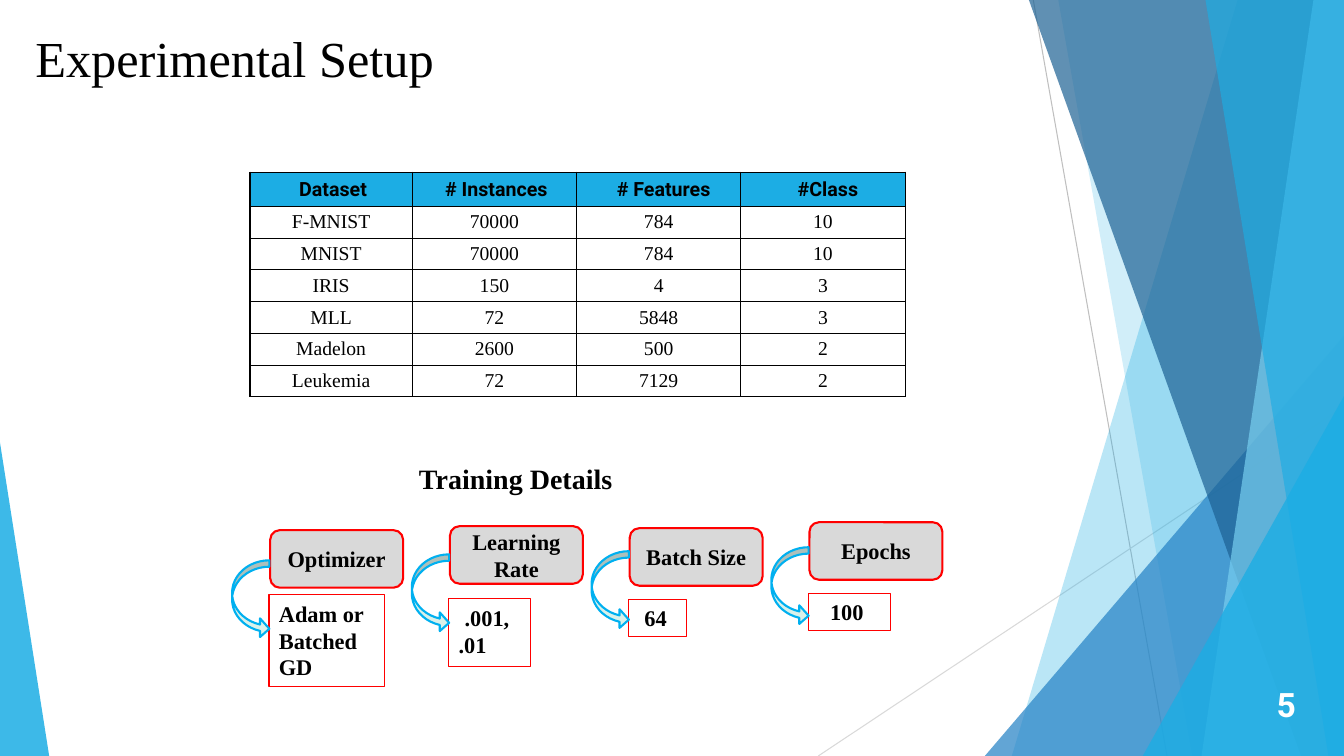
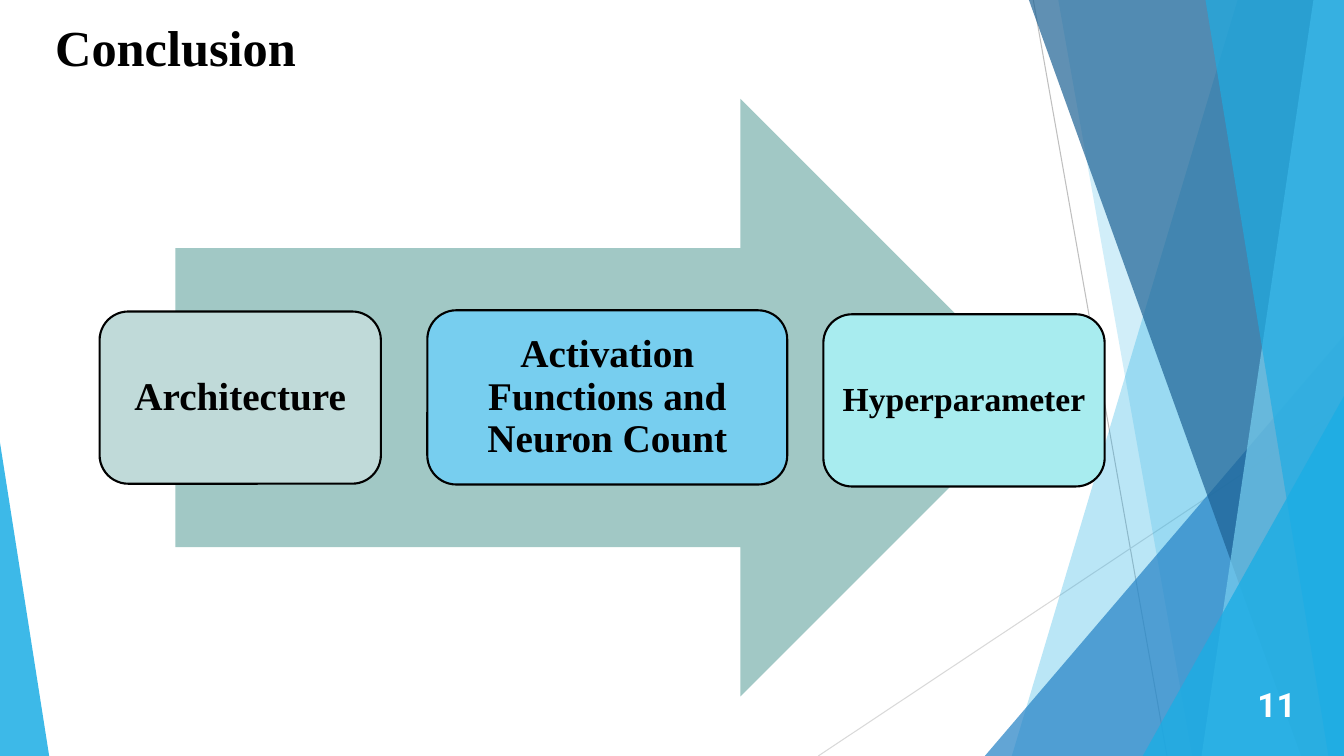
from dataclasses import dataclass

from pptx import Presentation
from pptx import util as u
from pptx.dml.color import RGBColor
from pptx.enum import shapes, text
from pptx.oxml import ns, xmlchemy


@dataclass(frozen=True)
class Theme:
    width: float = 33.87
    height: float = 19.05
    serif: str = "Times New Roman"
    sans: str = "Roboto"
    ink: str = "000000"
    paper: str = "FFFFFF"
    sky: str = "1CADE4"
    pale: str = "77CEEF"
    blue: str = "2683C6"
    navy: str = "1D6294"
    grey: str = "D9D9D9"
    rule: str = "BFBFBF"
    red: str = "FF0000"
    cyan: str = "00B0F0"
    mint: str = "D9F1EA"
    sage: str = "A1C8C5"
    mist: str = "C0DAD9"
    aqua: str = "A8ECEF"
    title: int = 36
    card: int = 28
    number: int = 24
    heading: int = 20
    body: int = 16
    cell: int = 14


THEME = Theme()
SHAPE = shapes.MSO_SHAPE
ALIGN = text.PP_ALIGN
ANCHOR = text.MSO_ANCHOR


def apply(target, values):
    for name, value in values.items():
        setattr(target, name, value)


def lengths(values):
    return [u.Cm(value) for value in values]


def sub(parent, tag, **attributes):
    """Append an XML child with the given attributes."""
    child = xmlchemy.OxmlElement(tag)
    for name, value in attributes.items():
        child.set(name, str(value))
    parent.append(child)
    return child


def paint(shape, fill=None, line=None, weight=1.5, opacity=100):
    shape.shadow.inherit = False
    if fill:
        shape.fill.solid()
        shape.fill.fore_color.rgb = RGBColor.from_string(fill)
        if opacity < 100:
            colour = shape.fill._xPr.find(".//" + ns.qn("a:srgbClr"))
            sub(colour, "a:alpha", val=opacity * 1000)
    else:
        shape.fill.background()
    if line:
        shape.line.color.rgb = RGBColor.from_string(line)
        shape.line.width = u.Pt(weight)
    else:
        shape.line.fill.background()


def write(frame, words, size, bold=True, font=THEME.serif, colour=THEME.ink,
          align=ALIGN.LEFT, spacing=None, **frame_format):
    apply(frame, {"word_wrap": True, **frame_format})
    para = frame.paragraphs[0]
    apply(para, {"alignment": align, "line_spacing": spacing})
    span = para.add_run()
    span.text = words
    apply(span.font, {"name": font, "size": u.Pt(size), "bold": bold})
    span.font.color.rgb = RGBColor.from_string(colour)
    return para


def add_text(page, box, words, size, **style):
    frame = page.shapes.add_textbox(*lengths(box)).text_frame
    return write(frame, words, size, **style)


def add_box(page, kind, box, **look):
    shape = page.shapes.add_shape(kind, *lengths(box))
    paint(shape, **look)
    return shape


def add_thin_line(page, ends, colour):
    line = page.shapes.add_connector(shapes.MSO_CONNECTOR.STRAIGHT, *lengths(ends))
    line.line.color.rgb = RGBColor.from_string(colour)
    line.line.width = u.Pt(0.75)
    sub(line._element.spPr, "a:effectLst")


def add_panel(page, top, bottom, colour, opacity):
    """Fill from a slanted left edge to the right edge of the page."""
    right, foot = THEME.width, THEME.height
    outline = page.shapes.build_freeform(u.Cm(top), 0, scale=1.0)
    corners = [(right, 0), (right, foot), (bottom, foot)]
    outline.add_line_segments([lengths(corner) for corner in corners], close=True)
    paint(outline.convert_to_shape(), fill=colour, opacity=opacity)


def add_wedge(page, left, top, right, apex, colour, opacity):
    """Stand a right-angled triangle on the foot of the page."""
    box = (left, top, right - left, THEME.height - top)
    wedge = add_box(page, SHAPE.ISOSCELES_TRIANGLE, box, fill=colour, opacity=opacity)
    wedge.adjustments[0] = apex


def add_backdrop(page):
    right, foot = THEME.width, THEME.height
    add_thin_line(page, (26.04, 0, 29.41, foot), THEME.rule)
    add_thin_line(page, (right, 10.24, 20.62, foot), THEME.grey)
    add_panel(page, 31.19, 25.5, THEME.sky, 30)
    add_panel(page, 26.67, 30.05, THEME.sky, 20)
    add_wedge(page, 24.82, 8.46, right, 1, THEME.blue, 72)
    add_panel(page, 25.93, 32.79, THEME.navy, 70)
    add_panel(page, 33.1, 30.28, THEME.pale, 70)
    add_panel(page, 30.38, 33.48, THEME.sky, 65)
    add_wedge(page, 28.8, 9.98, right, 1, THEME.sky, 80)
    add_wedge(page, 0, 11.15, 1.24, 0, THEME.sky, 85)


def start_page(deck, title, title_box, number, bold):
    page = deck.slides.add_slide(deck.slide_layouts[6])
    add_backdrop(page)
    add_text(page, title_box, title, THEME.title, bold=bold)
    add_text(page, (30.78, 16.74, 2.13, 1.98), number, THEME.number,
             font=THEME.sans, colour=THEME.paper, align=ALIGN.RIGHT,
             vertical_anchor=ANCHOR.MIDDLE)
    return page


def add_borders(cell):
    properties = cell._tc.get_or_add_tcPr()
    for position, side in enumerate(("a:lnL", "a:lnR", "a:lnT", "a:lnB")):
        border = xmlchemy.OxmlElement(side)
        border.set("w", str(u.Pt(1)))
        sub(sub(border, "a:solidFill"), "a:srgbClr", val=THEME.ink)
        properties.insert(position, border)


def add_dataset_table(page, left, top):
    rows = [
        ("Dataset", "# Instances", "# Features", "#Class"),
        ("F-MNIST", "70000", "784", "10"),
        ("MNIST", "70000", "784", "10"),
        ("IRIS", "150", "4", "3"),
        ("MLL", "72", "5848", "3"),
        ("Madelon", "2600", "500", "2"),
        ("Leukemia", "72", "7129", "2"),
    ]
    widths = (4.09, 4.14, 4.14, 4.14)
    heights = [0.86] + [0.8] * (len(rows) - 1)
    header_shifts = (0.1, 0.1, 0.25, 0.25)
    box = (left, top, sum(widths), sum(heights))
    table = page.shapes.add_table(len(rows), len(widths), *lengths(box)).table
    apply(table, {"first_row": False, "horz_banding": False})
    for column, width in zip(table.columns, widths):
        column.width = u.Cm(width)
    for index, (row, height) in enumerate(zip(table.rows, heights)):
        row.height = u.Cm(height)
        header = index == 0
        for cell, words, shift in zip(row.cells, rows[index], header_shifts):
            apply(cell, {"margin_top": u.Cm(0.05), "margin_bottom": u.Cm(0.05),
                         "margin_left": u.Cm(0.25 + shift * header),
                         "margin_right": u.Cm(0.25),
                         "vertical_anchor": ANCHOR.MIDDLE})
            cell.fill.solid()
            fill = THEME.sky if header else THEME.paper
            cell.fill.fore_color.rgb = RGBColor.from_string(fill)
            write(cell.text_frame, words, THEME.cell, bold=header,
                  font=THEME.sans if header else THEME.serif, align=ALIGN.CENTER)
            add_borders(cell)


def add_setting(page, left, top, label, value, value_box, indent, arrow_drop):
    """Place a label, its value below and the curved arrow joining them."""
    name = add_box(page, SHAPE.ROUNDED_RECTANGLE, (left, top, 3.35, 1.45),
                   fill=THEME.grey, line=THEME.red)
    write(name.text_frame, label, THEME.body, align=ALIGN.CENTER,
          vertical_anchor=ANCHOR.MIDDLE)

    drop, width, height = value_box
    answer = add_box(page, SHAPE.RECTANGLE, (left - 0.03, top + drop, width, height),
                     line=THEME.red, weight=0.75)
    para = write(answer.text_frame, value, THEME.body, vertical_anchor=ANCHOR.TOP)
    para._p.get_or_add_pPr().set("indent", str(u.Cm(indent)))

    arrow = add_box(page, SHAPE.CURVED_LEFT_ARROW,
                    (left - 0.96, top + arrow_drop, 0.94, 1.96),
                    fill=THEME.mint, line=THEME.cyan)
    for index, amount in enumerate((0.172, 0.5, 0.25)):
        arrow.adjustments[index] = amount
    arrow._element.spPr.find(ns.qn("a:xfrm")).set("flipH", "1")


def add_training_details(page, left, top):
    add_text(page, (left + 3.5, top, 12.8, 1.12), "Training Details", THEME.heading)
    settings = [
        (1.85, "Optimizer", "Adam or Batched GD", (1.63, 2.9, 2.31), 0, 0.76),
        (1.75, "Learning Rate", ".001, .01", (1.83, 2.06, 1.7), 0.15, 0.71),
        (1.8, "Batch Size", "64", (1.8, 1.47, 0.94), 0.15, 0.58),
        (1.65, "Epochs", "100", (1.8, 2.08, 0.94), 0.3, 0.63),
    ]
    for index, (drop, *setting) in enumerate(settings):
        add_setting(page, left + 4.53 * index, top + drop, *setting)


def build_setup(deck):
    page = start_page(deck, "Experimental Setup", (0.64, 0.56, 23.52, 3.12), "5", False)
    add_dataset_table(page, 6.3, 4.34)
    add_training_details(page, 6.81, 11.51)


def add_card(page, box, words, size, colour, inset):
    card = add_box(page, SHAPE.ROUNDED_RECTANGLE, box, fill=colour, line=THEME.ink)
    write(card.text_frame, words, size, align=ALIGN.CENTER, spacing=0.9,
          vertical_anchor=ANCHOR.MIDDLE,
          margin_left=u.Cm(inset), margin_right=u.Cm(inset))


def add_process(page, left, top, width, height):
    """Lay three cards over a broad arrow that fills the given box."""
    add_box(page, SHAPE.RIGHT_ARROW, (left, top, width, height), fill=THEME.sage)
    cards = [
        (-1.91, 5.36, 7.09, 4.34, "Architecture", THEME.card, THEME.mist, 0.3),
        (6.35, 5.33, 9.07, 4.39, "Activation Functions and Neuron Count",
         THEME.card, THEME.pale, 0.3),
        (16.33, 5.43, 7.09, 4.34, "Hyperparameter", THEME.number, THEME.aqua, 0.2),
    ]
    for across, down, card_width, card_height, *content in cards:
        add_card(page, (left + across, top + down, card_width, card_height), *content)


def build_conclusion(deck):
    page = start_page(deck, "Conclusion", (1.14, 0.28, 23.88, 3.66), "11", True)
    add_process(page, 4.42, 2.49, 21.77, 15.06)


def main():
    deck = Presentation()
    apply(deck, {"slide_width": u.Cm(THEME.width), "slide_height": u.Cm(THEME.height)})
    build_setup(deck)
    build_conclusion(deck)
    deck.save("out.pptx")


if __name__ == "__main__":
    main()
